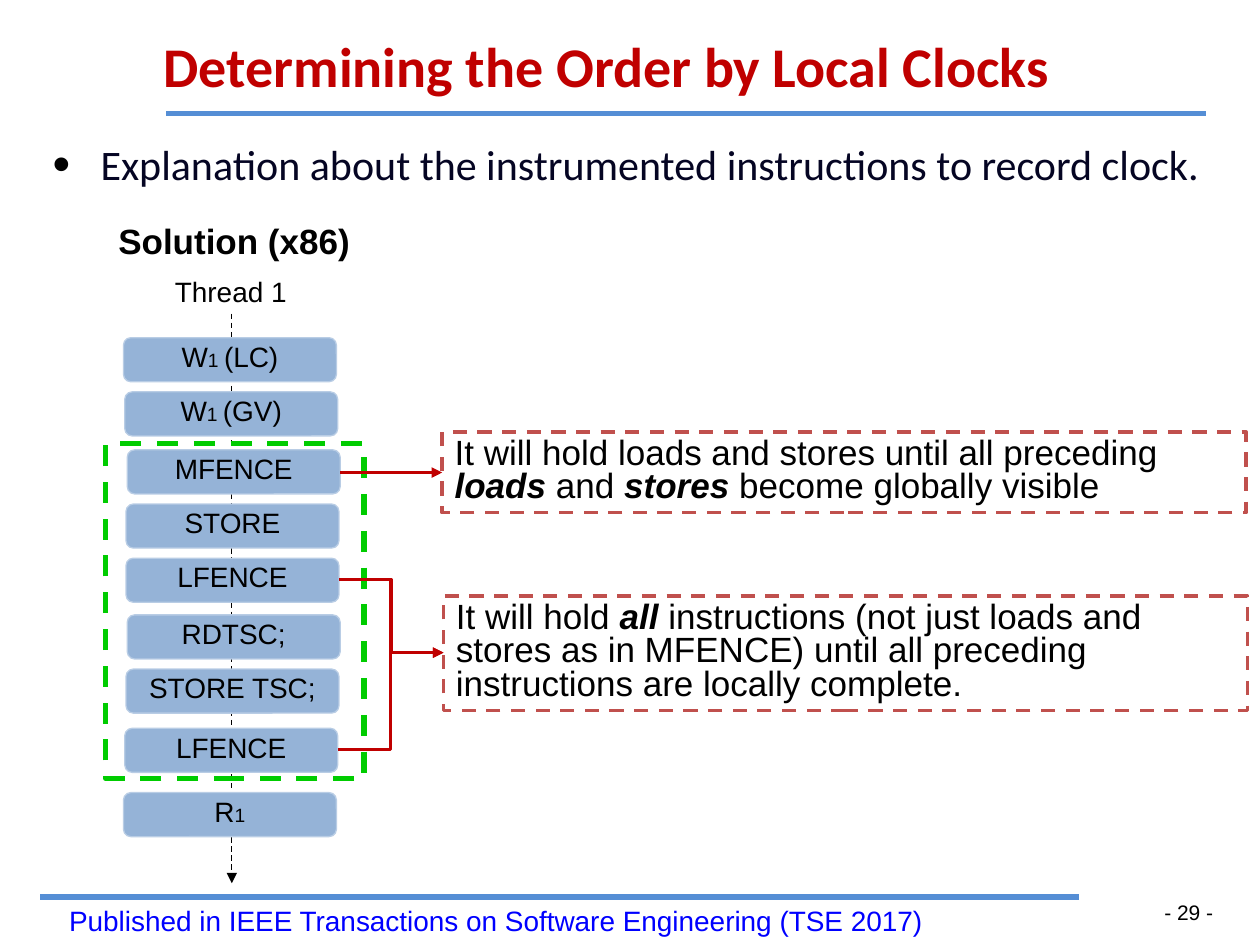
from typing import NamedTuple

from lxml import etree
from pptx import Presentation
from pptx.dml.color import RGBColor
from pptx.enum.dml import MSO_LINE
from pptx.enum.shapes import MSO_CONNECTOR, MSO_SHAPE
from pptx.enum.text import MSO_ANCHOR, PP_ALIGN
from pptx.oxml.ns import qn
from pptx.util import Inches, Pt

STRAIGHT, ELBOW = MSO_CONNECTOR.STRAIGHT, MSO_CONNECTOR.ELBOW
RECT, ROUNDED = MSO_SHAPE.RECTANGLE, MSO_SHAPE.ROUNDED_RECTANGLE
DASH = MSO_LINE.DASH
TOP, BOTTOM = MSO_ANCHOR.TOP, MSO_ANCHOR.BOTTOM
LEFT, CENTER = PP_ALIGN.LEFT, PP_ALIGN.CENTER

BLACK = RGBColor(0x00, 0x00, 0x00)
NAVY = RGBColor(0x05, 0x05, 0x23)
BLUE = RGBColor(0x00, 0x00, 0xFF)
RULE_BLUE = RGBColor(0x55, 0x8E, 0xD5)
STEP_FILL = RGBColor(0x95, 0xB3, 0xD7)
STEP_LINE = RGBColor(0xB9, 0xCD, 0xE5)
GREEN = RGBColor(0x00, 0xCC, 0x00)
RED = RGBColor(0xC0, 0x00, 0x00)
CALLOUT_RED = RGBColor(0xC0, 0x50, 0x4D)

STEP_WIDTH, STEP_HEIGHT = 1.69, 0.35
CALLOUT_WIDTH = 6.38


class Run(NamedTuple):
    text: str
    format: dict = {}


class Box(NamedTuple):
    left: float
    top: float
    width: float
    height: float


class Label(NamedTuple):
    box: Box
    text: str
    format: dict
    spacing: float = 0.8
    anchor: MSO_ANCHOR = TOP
    wrap: bool = True


class Step(NamedTuple):
    left: float
    top: float
    runs: list[Run]


class Callout(NamedTuple):
    box: Box
    runs: list[Run]


class Link(NamedTuple):
    kind: MSO_CONNECTOR
    start: tuple[float, float]
    end: tuple[float, float]
    color: RGBColor
    width: float
    arrow: bool = False
    dash: MSO_LINE | None = None


SUBSCRIPT = {"size": Pt(11)}
STRONG = {"bold": True, "italic": True}
BODY = {"name": "Arial", "size": Pt(16), "color": BLACK}
LARGE = BODY | {"size": Pt(20)}

LABELS = [
    Label(Box(9.19, 7.12, 0.52, 0.24), "- 29 -", BODY | {"size": Pt(12)}, 1, wrap=False),
    Label(Box(0.45, 7.17, 8.82, 0.32),
          "Published in IEEE Transactions on Software Engineering (TSE 2017)",
          BODY | {"color": BLUE}),
    Label(Box(1.2, 0.14, 8.8, 0.7), "Determining the Order by Local Clocks",
          {"name": "Calibri", "size": Pt(32), "bold": True, "color": RED}, 0.9, BOTTOM),
    Label(Box(0.84, 1.76, 2.25, 0.37), "Solution (x86)", LARGE | {"bold": True}),
    Label(Box(1.29, 2.18, 1.1, 0.32), "Thread 1", BODY, wrap=False),
]

STEPS = [
    Step(0.98, 2.68, [Run("W"), Run("1 ", SUBSCRIPT), Run("(LC)")]),
    Step(0.99, 3.11, [Run("W"), Run("1 ", SUBSCRIPT), Run("(GV)")]),
    Step(1.01, 3.57, [Run("MFENCE")]),
    Step(1, 4, [Run("STORE")]),
    Step(1, 4.43, [Run("LFENCE")]),
    Step(1.01, 4.88, [Run("RDTSC;")]),
    Step(1, 5.31, [Run("STORE TSC;")]),
    Step(0.99, 5.78, [Run("LFENCE")]),
    Step(0.98, 6.29, [Run("R"), Run("1", SUBSCRIPT)]),
]

CALLOUTS = [
    Callout(Box(3.51, 3.43, CALLOUT_WIDTH, 0.64), [
        Run("It will hold loads and stores until all preceding "),
        Run("loads", STRONG), Run(" and "), Run("stores", STRONG),
        Run(" become globally visible")]),
    Callout(Box(3.52, 4.73, CALLOUT_WIDTH, 0.91), [
        Run("It will hold "), Run("all", STRONG),
        Run(" instructions (not just loads and stores as in MFENCE) "
            "until all preceding instructions are locally complete.")]),
]

RULES = [
    Link(STRAIGHT, (1.32, 0.9), (9.57, 0.9), RULE_BLUE, 3),
    Link(STRAIGHT, (0.32, 7.12), (8.56, 7.12), RULE_BLUE, 3),
]
TIMELINE = Link(STRAIGHT, (1.84, 2.49), (1.84, 7.01), BLACK, 0.75, True, DASH)
ARROWS = [
    Link(STRAIGHT, (2.7, 3.75), (3.51, 3.75), RED, 2, True),
    Link(ELBOW, (2.69, 4.6), (3.52, 5.18), RED, 2, True),
    Link(ELBOW, (2.68, 5.95), (3.52, 5.18), RED, 2, True),
]


def write(paragraph, runs: list[Run], base: dict) -> None:
    """Add runs whose own format overrides the base format."""
    for piece in runs:
        run = paragraph.add_run()
        run.text = piece.text
        for key, value in (base | piece.format).items():
            if key == "color":
                run.font.color.rgb = value
            else:
                setattr(run.font, key, value)


def add_label(slide, label: Label):
    frame = slide.shapes.add_textbox(*map(Inches, label.box)).text_frame
    frame.word_wrap = label.wrap
    frame.vertical_anchor = label.anchor
    if not label.wrap and label.spacing == 1:
        frame.margin_left = frame.margin_right = Inches(0.05)
        frame.margin_top = frame.margin_bottom = Inches(0.02)
    paragraph = frame.paragraphs[0]
    paragraph.line_spacing = label.spacing
    write(paragraph, [Run(label.text)], label.format)
    return paragraph


def add_bullet(slide, label: Label) -> None:
    properties = add_label(slide, label)._p.get_or_add_pPr()
    properties.set("marL", str(Inches(0.38)))
    properties.set("indent", str(-Inches(0.38)))
    color = etree.SubElement(properties, qn("a:buClr"))
    etree.SubElement(color, qn("a:srgbClr"), val=str(BLACK))
    etree.SubElement(properties, qn("a:buSzPct"), val="120000")
    etree.SubElement(properties, qn("a:buFont"), typeface="Arial")
    etree.SubElement(properties, qn("a:buChar"), char="•")


def add_link(slide, link: Link) -> None:
    connector = slide.shapes.add_connector(link.kind, *map(Inches, link.start + link.end))
    connector.line.color.rgb = link.color
    connector.line.width = Pt(link.width)
    if link.dash:
        connector.line.dash_style = link.dash
    if link.arrow:
        etree.SubElement(connector.line._get_or_add_ln(), qn("a:tailEnd"), type="triangle")
    etree.SubElement(connector._element.spPr, qn("a:effectLst"))


def add_outlined(slide, kind: MSO_SHAPE, box: Box, color: RGBColor, width: float,
                 dash: MSO_LINE | None = DASH):
    shape = slide.shapes.add_shape(kind, *map(Inches, box))
    shape.shadow.inherit = False
    shape.fill.background()
    shape.line.color.rgb = color
    shape.line.width = Pt(width)
    if dash:
        shape.line.dash_style = dash
    return shape


def write_inside(shape, runs: list[Run], base: dict, align: PP_ALIGN) -> None:
    shape.text_frame.vertical_anchor = TOP
    paragraph = shape.text_frame.paragraphs[0]
    paragraph.alignment = align
    paragraph.line_spacing = 0.8
    write(paragraph, runs, base)


def main() -> None:
    deck = Presentation()
    deck.slide_width, deck.slide_height = Inches(10), Inches(7.5)
    slide = deck.slides.add_slide(deck.slide_layouts[6])
    for label in LABELS:
        add_label(slide, label)
    add_bullet(slide, Label(
        Box(0.32, 1.05, 9.36, 0.6),
        "Explanation about the instrumented instructions to record clock.",
        {"name": "Calibri", "size": Pt(24), "color": NAVY}, 1.0))
    for link in [*RULES, TIMELINE]:
        add_link(slide, link)
    for step in STEPS:
        box = Box(step.left, step.top, STEP_WIDTH, STEP_HEIGHT)
        shape = add_outlined(slide, ROUNDED, box, STEP_LINE, 0.75, None)
        shape.fill.solid()
        shape.fill.fore_color.rgb = STEP_FILL
        write_inside(shape, step.runs, BODY, CENTER)
    add_outlined(slide, RECT, Box(0.84, 3.52, 2.05, 2.66), GREEN, 3)
    for callout in CALLOUTS:
        shape = add_outlined(slide, RECT, callout.box, CALLOUT_RED, 2)
        write_inside(shape, callout.runs, LARGE, LEFT)
    for link in ARROWS:
        add_link(slide, link)
    deck.save("out.pptx")


if __name__ == "__main__":
    main()
